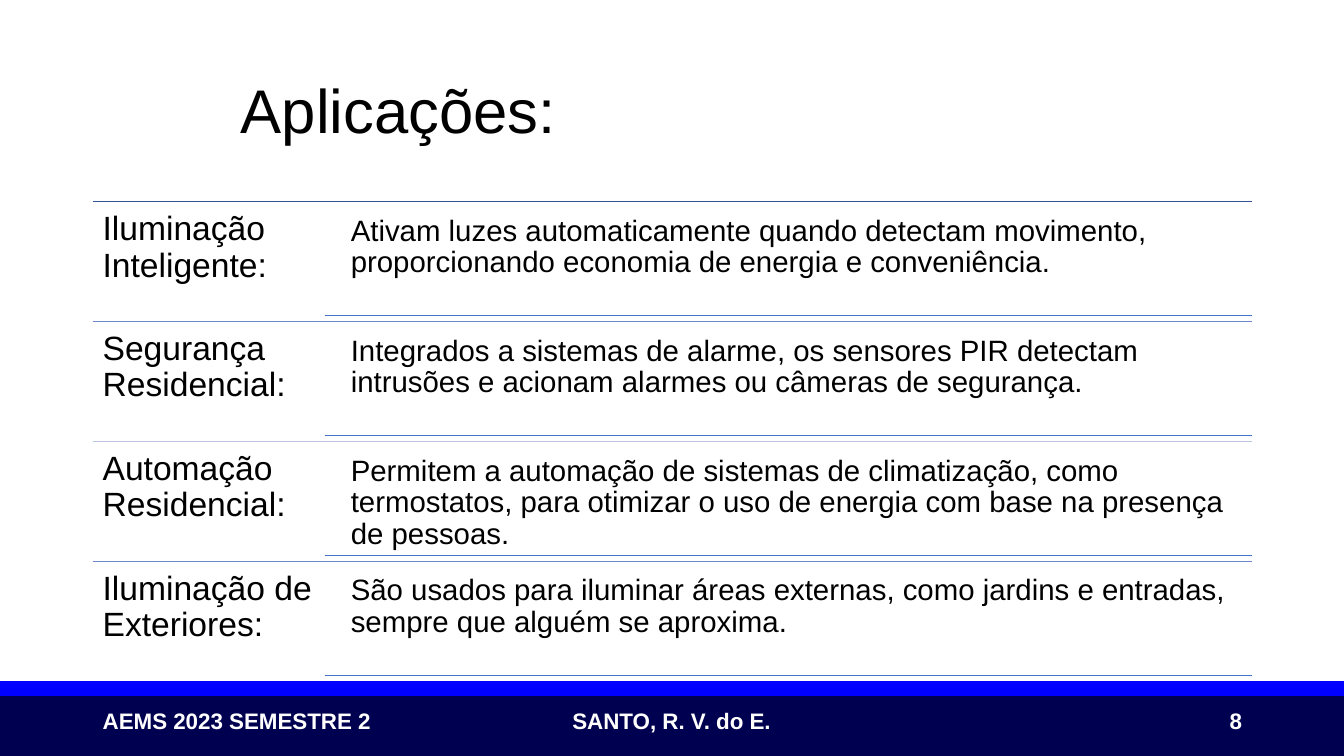
from dataclasses import dataclass

from pptx import Presentation, util as u
from pptx.dml.color import RGBColor
from pptx.enum import shapes, text
from pptx.oxml.ns import qn
from lxml import etree

PX = 9144


@dataclass(frozen=True)
class Theme:
    font: str = "Arial"
    ink: str = "000000"
    paper: str = "FFFFFF"
    navy: str = "000050"
    blue: str = "0000FF"
    rule: str = "4472C4"
    title_size: int = 44
    topic_size: int = 24
    detail_size: int = 21
    footer_size: int = 16


class Slide:
    def __init__(self, deck, theme):
        self.theme = theme
        self.page = deck.slides.add_slide(deck.slide_layouts[5])
        self.page.background.fill.solid()
        self.page.background.fill.fore_color.rgb = RGBColor.from_string(theme.paper)

    def set_words(self, box, words, size, color, bold=False, align=text.PP_ALIGN.LEFT,
                  anchor=text.MSO_ANCHOR.TOP, spacing=None, after=0):
        frame = box.text_frame
        frame.text = words
        frame.vertical_anchor = anchor
        para = frame.paragraphs[0]
        para.alignment = align
        para.line_spacing = spacing
        para.space_after = u.Pt(after)
        font = para.runs[0].font
        font.name, font.size, font.bold = self.theme.font, u.Pt(size), bold
        font.color.rgb = RGBColor.from_string(color)

    def title(self, words, left, top, width, height):
        box = self.page.shapes.title
        box.left, box.top, box.width, box.height = (
            n * PX for n in (left, top, width, height))
        box.text_frame.word_wrap = True
        box.text_frame.auto_size = text.MSO_AUTO_SIZE.NONE
        self.set_words(box, words, self.theme.title_size, self.theme.ink,
                       anchor=text.MSO_ANCHOR.MIDDLE, spacing=0.9)

    def band(self, top, height, color):
        bar = self.page.shapes.add_shape(
            shapes.MSO_SHAPE.RECTANGLE, 0, top * PX, 1333 * PX + PX // 3, height * PX)
        bar.shadow.inherit = False
        bar.fill.solid()
        bar.fill.fore_color.rgb = RGBColor.from_string(color)
        bar.line.color.rgb = RGBColor.from_string(color)
        bar.line.width = u.Pt(1)

    def label(self, words, left, top, width, height, size, inset, wrap=True, **style):
        box = self.page.shapes.add_textbox(*(n * PX for n in (left, top, width, height)))
        frame = box.text_frame
        frame.word_wrap = wrap
        frame.margin_left = frame.margin_right = inset[0] * PX
        frame.margin_top = frame.margin_bottom = inset[1] * PX
        self.set_words(box, words, size, **style)

    def rule(self, left, right, y, color):
        line = self.page.shapes.add_connector(
            shapes.MSO_CONNECTOR.STRAIGHT, left * PX, y * PX, right * PX, y * PX)
        line.line.color.rgb = RGBColor.from_string(color)
        line.line.width = u.Pt(1)
        etree.SubElement(line._element.spPr, qn("a:effectLst"))


APPLICATIONS = [
    ("Iluminação Inteligente:", "325491",
     "Ativam luzes automaticamente quando detectam movimento, "
     "proporcionando economia de energia e conveniência."),
    ("Segurança Residencial:", "6C87C5",
     "Integrados a sistemas de alarme, os sensores PIR detectam "
     "intrusões e acionam alarmes ou câmeras de segurança."),
    ("Automação Residencial:", "BCC6E2",
     "Permitem a automação de sistemas de climatização, como termostatos, "
     "para otimizar o uso de energia com base na presença de pessoas."),
    ("Iluminação de Exteriores:", "6C87C5",
     "São usados para iluminar áreas externas, como jardins e entradas, "
     "sempre que alguém se aproxima."),
]


def main():
    deck = Presentation()
    deck.slide_width, deck.slide_height = u.Inches(13.333), u.Inches(7.5)
    theme = Theme()
    slide = Slide(deck, theme)

    slide.band(690, 60, theme.navy)
    slide.band(676, 14, theme.blue)
    footer = dict(size=theme.footer_size, inset=(10, 5), color=theme.paper, bold=True)
    slide.label("AEMS 2023 SEMESTRE 2", 92, 697, 289, 37, wrap=False, **footer)
    slide.label("SANTO, R. V. do E.", 558, 697, 220, 37, wrap=False, **footer)
    slide.title("Aplicações:", 229, 40, 1012, 145)

    left, right, first, pitch = 92, 1242, 200, 119
    body = dict(color=theme.ink, spacing=0.9)
    for row, (topic, color, detail) in enumerate(APPLICATIONS):
        top = first + row * pitch
        slide.rule(left, right, top, color)
        slide.label(topic, left, top, 230, pitch, theme.topic_size, (10, 10),
                    after=8, **body)
        slide.label(detail, 339, top + 5, 903, 108, theme.detail_size, (9, 9),
                    after=7, **body)
        slide.rule(322, right, top + 113, theme.rule)

    slide.label("8", 942, 695, 300, 40, align=text.PP_ALIGN.RIGHT,
                anchor=text.MSO_ANCHOR.MIDDLE, **footer)
    deck.save("out.pptx")


if __name__ == "__main__":
    main()
